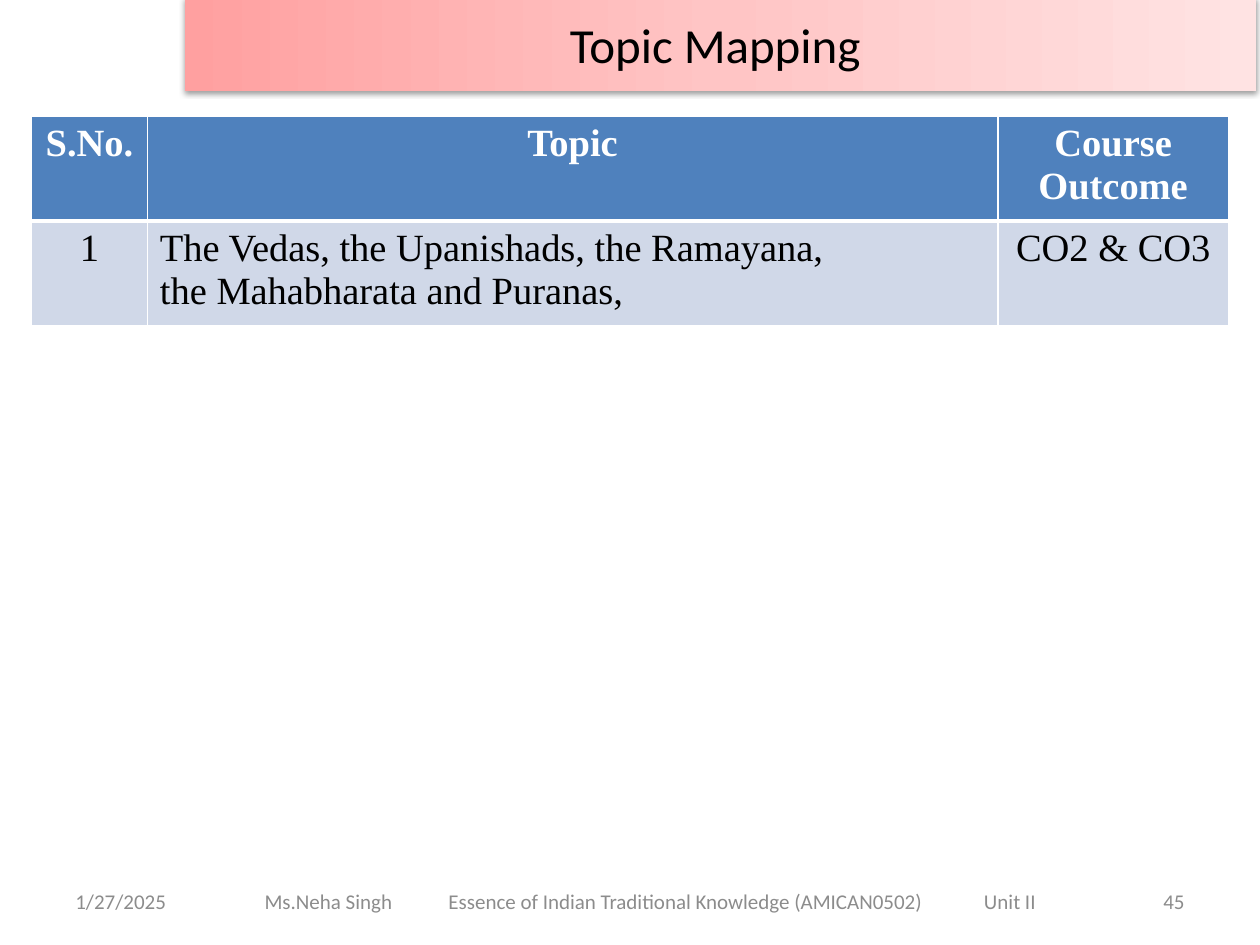
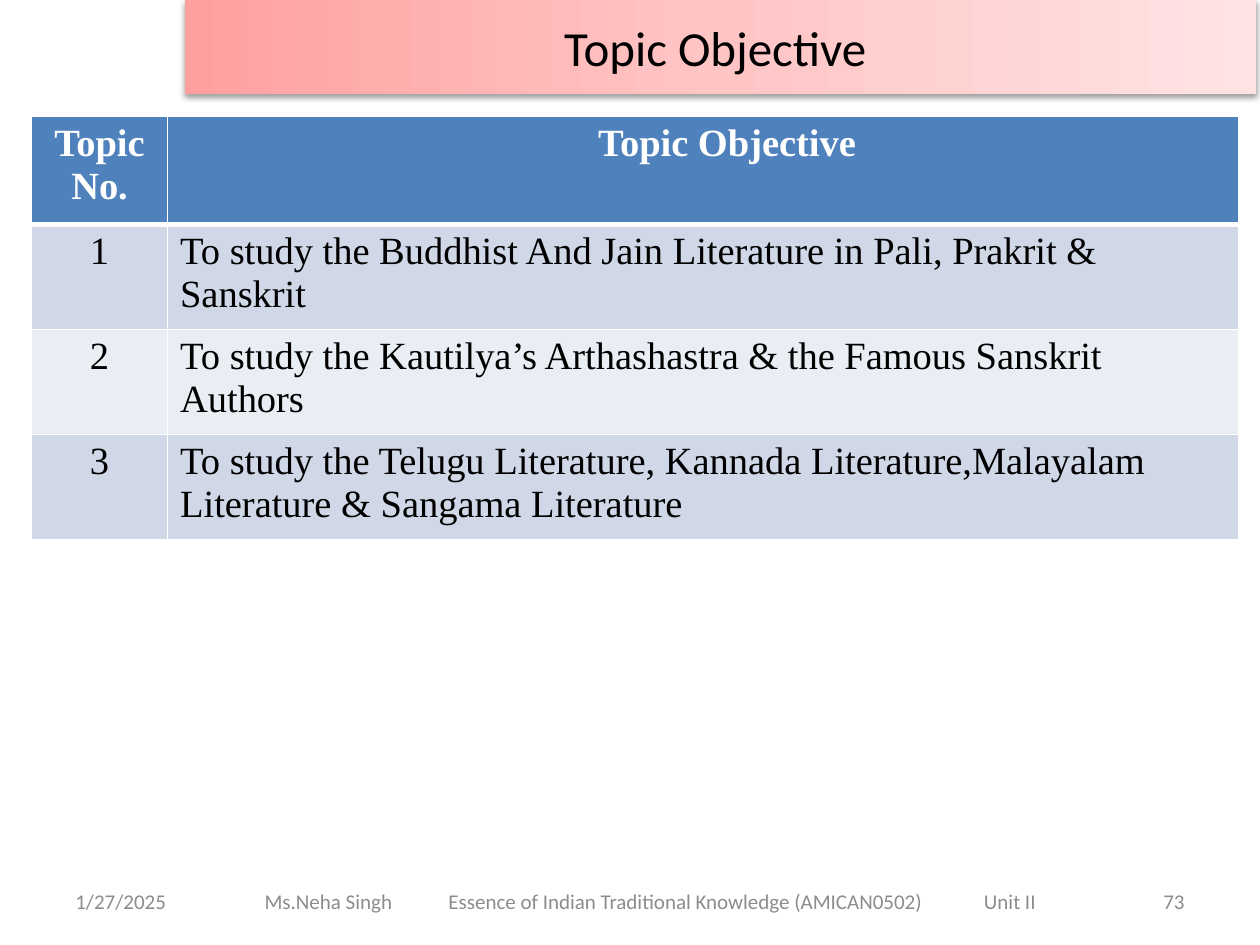
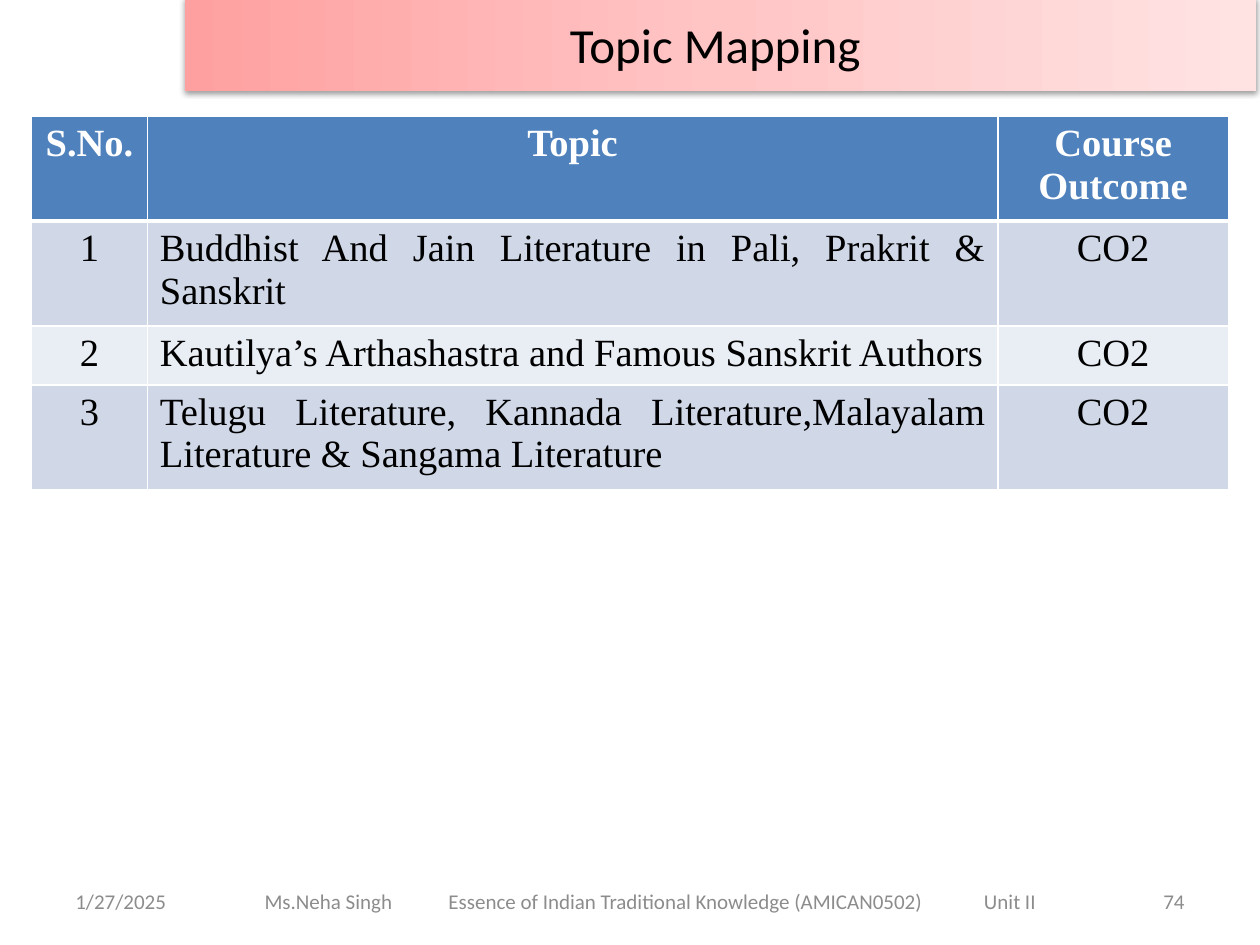
"""Build three topic slides with a gradient title band, a table and a footer."""
from dataclasses import dataclass

from pptx import Presentation
from pptx.dml.color import RGBColor
from pptx.enum.shapes import MSO_SHAPE
from pptx.enum.text import MSO_ANCHOR, PP_ALIGN
from pptx.oxml import parse_xml
from pptx.oxml.ns import nsdecls
from pptx.util import Inches, Pt

LEFT, CENTER, RIGHT, JUSTIFY = PP_ALIGN.LEFT, PP_ALIGN.CENTER, PP_ALIGN.RIGHT, PP_ALIGN.JUSTIFY
MIDDLE = MSO_ANCHOR.MIDDLE
RECTANGLE = MSO_SHAPE.RECTANGLE
NAMESPACE = nsdecls("a")


@dataclass(frozen=True)
class Theme:
    sans: str = "Calibri"
    serif: str = "Times New Roman"
    title_size: int = 28
    table_size: int = 22
    footer_size: int = 12
    ink: str = "000000"
    white: str = "FFFFFF"
    footer: str = "8C8C8C"
    header: str = "4F81BD"
    row_bands: tuple = ("E9EDF4", "D0D8E8")
    title_stops: tuple = ((0, "FFA0A0"), (50, "FFC5C5"), (100, "FFE3E3"))


THEME = Theme()


def write(frame, text, font=THEME.sans, size=THEME.footer_size, color=THEME.footer,
          bold=False, align=LEFT, tabs=()):
    frame.word_wrap = True
    for index, line in enumerate(text.split("\n")):
        para = frame.add_paragraph() if index else frame.paragraphs[0]
        para.alignment = align
        if tabs:
            stops = "".join(f'<a:tab pos="{Inches(stop)}" algn="l"/>' for stop in tabs)
            para._p.get_or_add_pPr().append(parse_xml(f"<a:tabLst {NAMESPACE}>{stops}</a:tabLst>"))
        span = para.add_run()
        span.text = line
        span.font.name = font
        span.font.size = Pt(size)
        span.font.bold = bold
        span.font.color.rgb = RGBColor.from_string(color)


def set_borders(cell, bottom):
    properties = cell._tc.get_or_add_tcPr()
    for index, (side, width) in enumerate((("L", 1), ("R", 1), ("T", 1), ("B", bottom))):
        properties.insert(index, parse_xml(
            f'<a:ln{side} {NAMESPACE} w="{Pt(width)}"><a:solidFill>'
            f'<a:srgbClr val="{THEME.white}"/></a:solidFill></a:ln{side}>'))


MAPPING = dict(title="Topic Mapping ", band_top=-0.03, columns=(0.92, 6.75, 1.83),
               aligns=(CENTER, JUSTIFY, CENTER), header=("S.No.", "Topic", "Course Outcome"),
               header_indent=0)
OBJECTIVE = dict(title="Topic Objective ", band_top=0, columns=(1.08, 8.5),
                 aligns=(CENTER, LEFT), header=("Topic No.", "Topic Objective"),
                 header_indent=0.38)

PAGES = (
    (MAPPING, "45", (0.82, 0.82), (
        ("1", "The Vedas, the Upanishads, the Ramayana,\nthe Mahabharata and Puranas,", "CO2 & CO3"),
    )),
    (OBJECTIVE, "73", (0.86, 0.78, 0.78, 0.78), (
        ("1", "To study the Buddhist And Jain Literature in Pali, Prakrit & Sanskrit"),
        ("2", "To study the Kautilya’s Arthashastra & the Famous Sanskrit Authors"),
        ("3", "To study the Telugu Literature, Kannada Literature,Malayalam Literature & Sangama Literature"),
    )),
    (MAPPING, "74", (0.82, 0.82, 0.46, 0.82), (
        ("1", "Buddhist And Jain Literature in Pali, Prakrit & Sanskrit", "CO2"),
        ("2", "Kautilya’s Arthashastra and Famous Sanskrit Authors", "CO2"),
        ("3", "Telugu Literature, Kannada Literature,Malayalam Literature & Sangama Literature", "CO2"),
    )),
)
COURSE_LINE = "Ms.Neha Singh\tEssence of Indian Traditional Knowledge (AMICAN0502)\tUnit II"

deck = Presentation()
deck.slide_width, deck.slide_height = Inches(10), Inches(7.5)

for kind, number, heights, body in PAGES:
    page = deck.slides.add_slide(deck.slide_layouts[6])

    for left, width, inset, text, align, tabs in (
        (0.5, 2.33, 0.1, "1/27/2025", LEFT, ()),
        (1.75, 6.83, 0.35, COURSE_LINE, LEFT, (1.46, 5.71)),
        (7.17, 2.33, 0.1, number, RIGHT, ()),
    ):
        box = page.shapes.add_textbox(Inches(left), Inches(6.95), Inches(width), Inches(0.4))
        box.text_frame.vertical_anchor = MIDDLE
        box.text_frame.margin_left = Inches(inset)
        write(box.text_frame, text, align=align, tabs=tabs)

    band = page.shapes.add_shape(RECTANGLE, Inches(1.47), Inches(kind["band_top"]),
                                 Inches(8.5), Inches(0.75))
    band.line.fill.background()
    band.shadow.inherit = False
    stops = "".join(f'<a:gs pos="{position * 1000}"><a:srgbClr val="{color}"/></a:gs>'
                    for position, color in THEME.title_stops)
    outline = band._element.spPr
    outline.insert(2, parse_xml(f'<a:gradFill {NAMESPACE} rotWithShape="1"><a:gsLst>{stops}</a:gsLst>'
                                '<a:lin ang="0" scaled="0"/></a:gradFill>'))
    outline[-1].append(parse_xml(
        f'<a:outerShdw {NAMESPACE} blurRad="{Pt(3.1)}" dist="{Pt(1.6)}" dir="5400000" rotWithShape="0">'
        f'<a:srgbClr val="{THEME.ink}"><a:alpha val="38000"/></a:srgbClr></a:outerShdw>'))
    band.text_frame.vertical_anchor = MIDDLE
    write(band.text_frame, kind["title"], size=THEME.title_size, color=THEME.ink, align=CENTER)

    rows = (kind["header"], *body)
    table = page.shapes.add_table(len(rows), len(kind["columns"]), Inches(0.25), Inches(0.92),
                                  Inches(sum(kind["columns"])), Inches(sum(heights))).table
    for column, width in zip(table.columns, kind["columns"]):
        column.width = Inches(width)
    for row_index, (values, height) in enumerate(zip(rows, heights)):
        is_header = row_index == 0
        table.rows[row_index].height = Inches(height)
        fill = THEME.header if is_header else THEME.row_bands[row_index % 2]
        for column_index, value in enumerate(values):
            cell = table.cell(row_index, column_index)
            cell.fill.solid()
            cell.fill.fore_color.rgb = RGBColor.from_string(fill)
            set_borders(cell, bottom=3 if is_header else 1)
            if is_header and column_index == 1:
                cell.margin_left = Inches(0.1 + kind["header_indent"])
            write(cell.text_frame, value, font=THEME.serif, size=THEME.table_size, bold=is_header,
                  color=THEME.white if is_header else THEME.ink,
                  align=CENTER if is_header else kind["aligns"][column_index])

deck.save("out.pptx")
